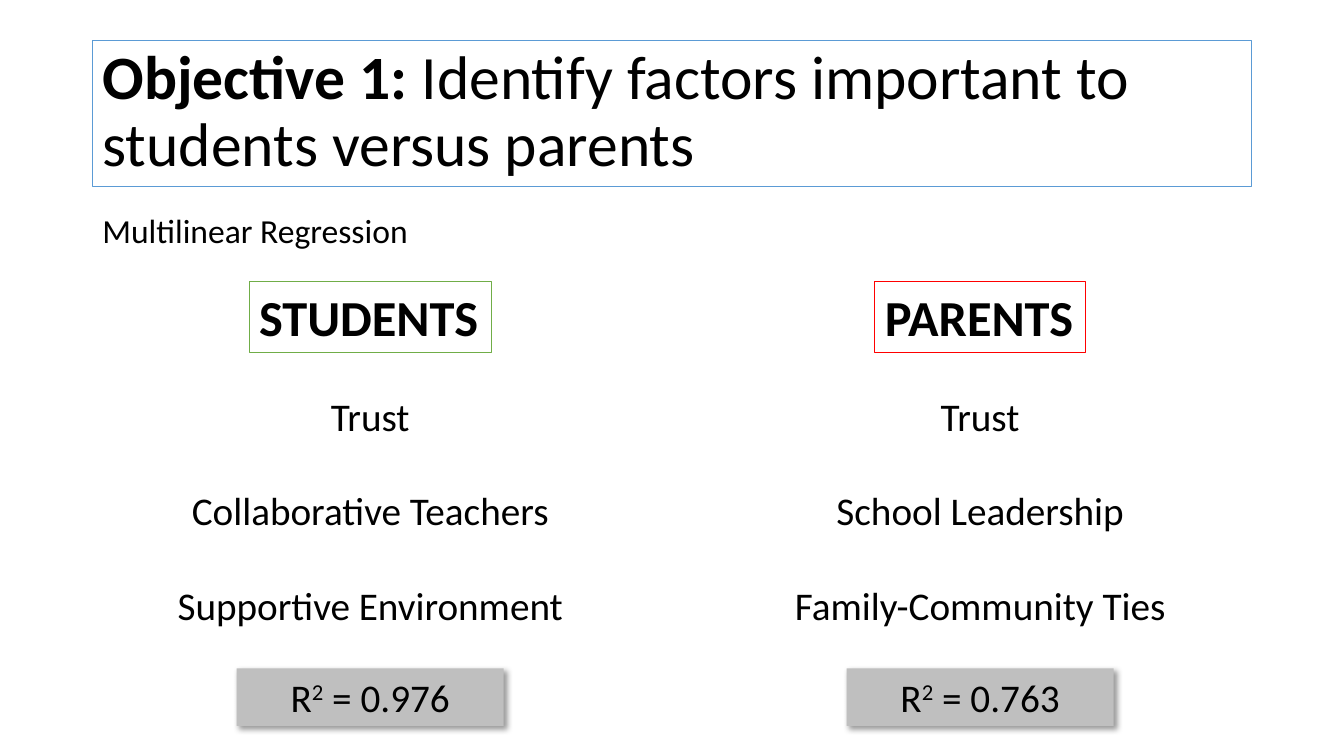
import lxml.etree
import pptx
import pptx.dml.color
import pptx.enum.shapes
import pptx.enum.text
import pptx.oxml.ns
import pptx.util

Cm = pptx.util.Cm
Pt = pptx.util.Pt
qn = pptx.oxml.ns.qn
ALIGN = pptx.enum.text.PP_ALIGN
ANCHOR = pptx.enum.text.MSO_ANCHOR


def color(hex_string):
    return pptx.dml.color.RGBColor.from_string(hex_string)


class SlideBuilder:
    font_name = "Calibri"
    text_color = "000000"

    def __init__(self, slide):
        self.slide = slide

    def place(self, shape, left, top, width, height):
        shape.left, shape.top = Cm(left), Cm(top)
        shape.width, shape.height = Cm(width), Cm(height)

    def format_runs(self, paragraph, size, bold=False):
        for run in paragraph.runs:
            run.font.name = self.font_name
            run.font.size = Pt(size)
            run.font.bold = bold
            run.font.color.rgb = color(self.text_color)

    def outline(self, shape, line_color):
        shape.line.color.rgb = color(line_color)
        shape.line.width = Pt(0.75)

    def title(self, label, text, box, line_color):
        shape = self.slide.shapes.title
        self.place(shape, *box)
        self.outline(shape, line_color)
        frame = shape.text_frame
        frame.auto_size = pptx.enum.text.MSO_AUTO_SIZE.NONE
        frame.vertical_anchor = ANCHOR.MIDDLE
        paragraph = frame.paragraphs[0]
        paragraph.text = label
        paragraph.add_run().text = text
        paragraph.alignment = ALIGN.LEFT
        paragraph.line_spacing = 0.9
        self.format_runs(paragraph, 44)
        paragraph.runs[0].font.bold = True

    def label(self, text, box, size, bold=False, line_color=None):
        shape = self.slide.shapes.add_textbox(*(Cm(length) for length in box))
        shape.text_frame.word_wrap = False
        shape.text_frame.text = text
        self.format_runs(shape.text_frame.paragraphs[0], size, bold)
        if line_color:
            self.outline(shape, line_color)

    def factor_list(self, index, factors, box):
        shape = self.slide.placeholders[index]
        self.place(shape, *box)
        frame = shape.text_frame
        frame.auto_size = pptx.enum.text.MSO_AUTO_SIZE.NONE
        frame.text = "\n".join(factors)
        for position, paragraph in enumerate(frame.paragraphs):
            paragraph.alignment = ALIGN.CENTER
            paragraph.space_before = Pt(34 if position else 0)
            self.format_runs(paragraph, 28)
            # Plain lines without bullet or indent
            properties = paragraph._p.get_or_add_pPr()
            properties.set("marL", "0")
            properties.set("indent", "0")
            lxml.etree.SubElement(properties, qn("a:buNone"))

    def result(self, value, box):
        shape = self.slide.shapes.add_shape(
            pptx.enum.shapes.MSO_SHAPE.RECTANGLE, *(Cm(length) for length in box))
        shape.fill.solid()
        shape.fill.fore_color.rgb = color("BFBFBF")
        shape.line.fill.background()
        self.drop_shadow(shape)
        frame = shape.text_frame
        frame.word_wrap = True
        frame.vertical_anchor = ANCHOR.TOP
        paragraph = frame.paragraphs[0]
        paragraph.alignment = ALIGN.CENTER
        for text in ("R", "2", f" = {value}"):
            paragraph.add_run().text = text
        self.format_runs(paragraph, 28)
        paragraph.runs[1]._r.get_or_add_rPr().set("baseline", "30000")

    def drop_shadow(self, shape):
        shape.shadow.inherit = False
        effects = shape._element.spPr.find(qn("a:effectLst"))
        shadow = lxml.etree.SubElement(
            effects, qn("a:outerShdw"), blurRad=str(Pt(4)), dist=str(Pt(3)),
            dir="2700000", algn="tl", rotWithShape="0")
        shade = lxml.etree.SubElement(shadow, qn("a:srgbClr"), val="000000")
        lxml.etree.SubElement(shade, qn("a:alpha"), val="40000")


def main():
    presentation = pptx.Presentation()
    presentation.slide_width = Cm(33.87)
    presentation.slide_height = Cm(19.05)
    two_content = presentation.slide_layouts[3]
    builder = SlideBuilder(presentation.slides.add_slide(two_content))

    # Title and method
    builder.title("Objective 1:", " Identify factors important to students versus parents",
                  (2.33, 1.01, 29.21, 3.68), "5B9BD5")
    builder.label("Multilinear Regression", (2.33, 5.16, 8.28, 1.27), 24)

    # One column per group: centre, heading, heading width, line, factors, R²
    columns = [
        (9.33, "STUDENTS", 6.1, "70AD47",
         ["Trust", "Collaborative Teachers", "Supportive Environment"], "0.976"),
        (24.7, "PARENTS", 5.3, "FF0000",
         ["Trust", "School Leadership", "Family-Community Ties"], "0.763"),
    ]
    list_width, result_width = 10.4, 6.73
    for index, column in enumerate(columns, start=1):
        center, heading, heading_width, line_color, factors, value = column
        builder.label(heading, (center - heading_width / 2, 7.09, heading_width, 1.8),
                      36, True, line_color)
        builder.factor_list(index, factors, (center - list_width / 2, 9.75, list_width, 6.25))
        builder.result(value, (center - result_width / 2, 16.84, result_width, 1.45))

    presentation.save("out.pptx")


if __name__ == "__main__":
    main()
